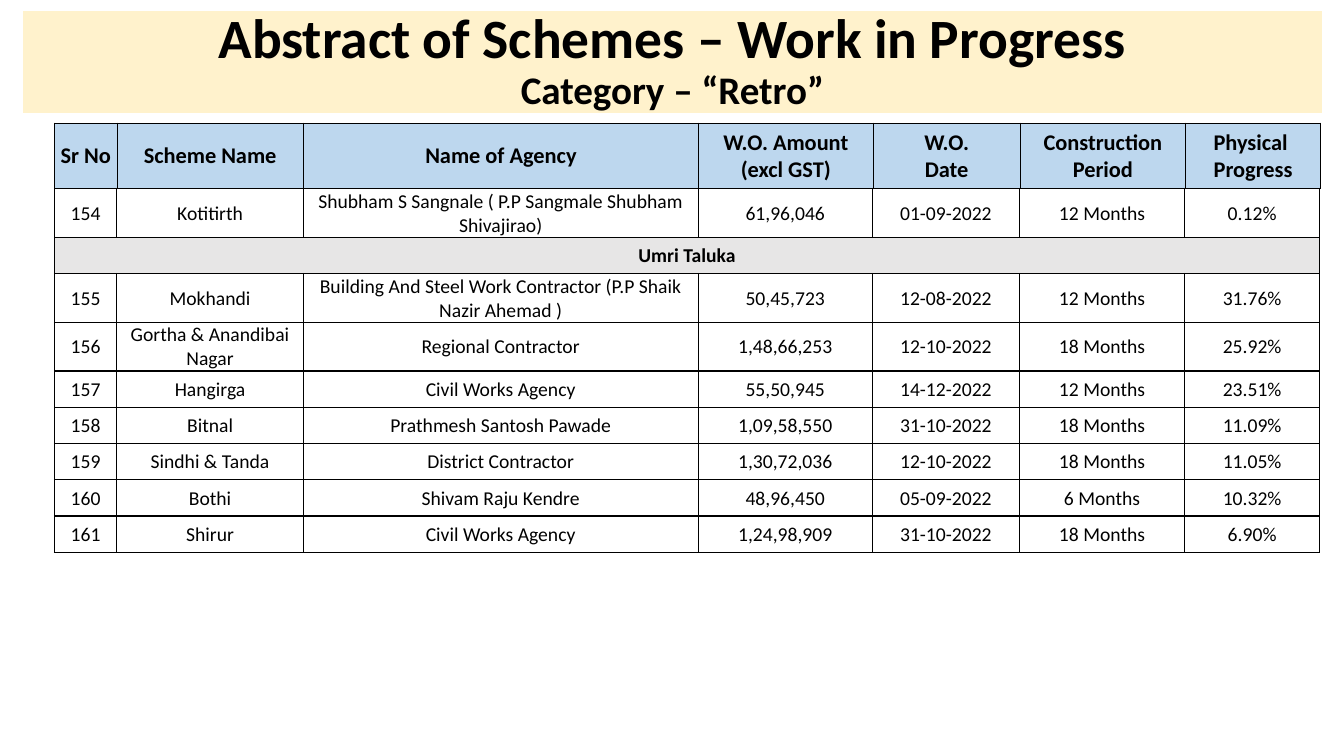
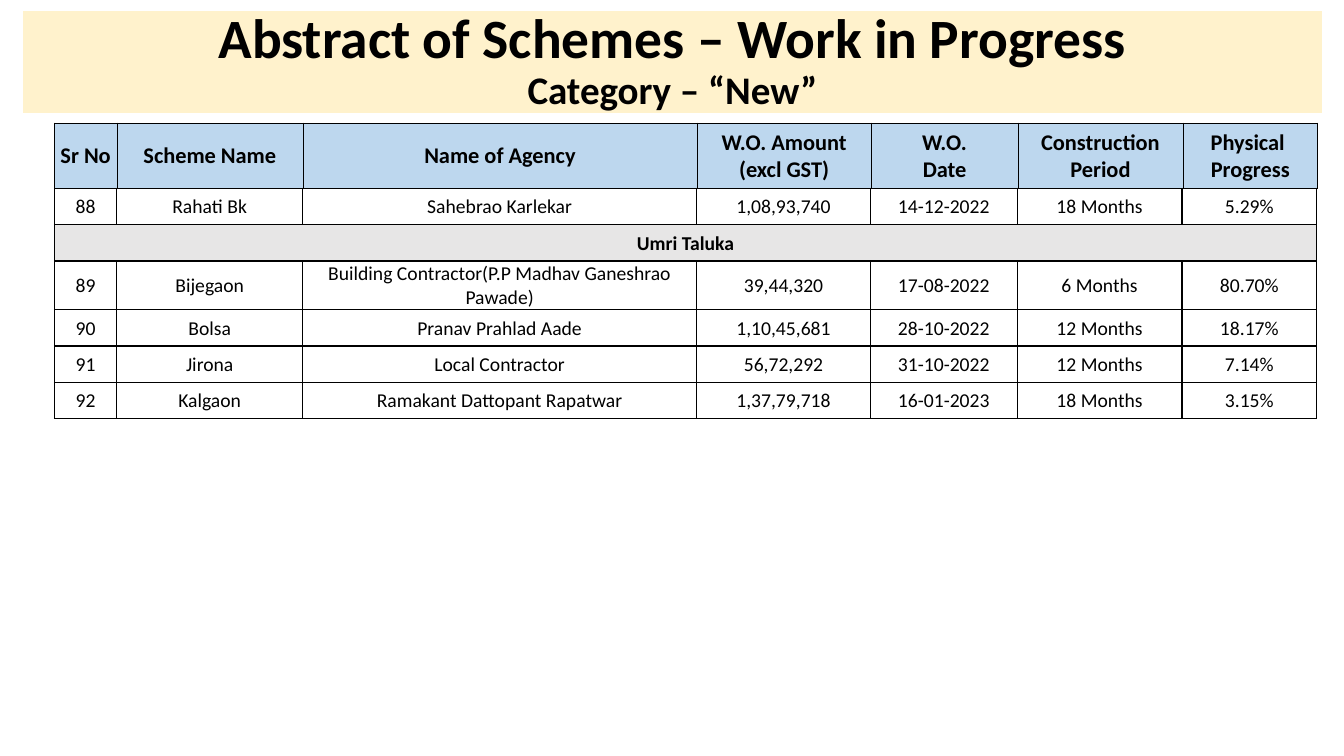
"""Build two slides listing water schemes in progress, by category."""
from lxml.etree import SubElement
from pptx import Presentation
from pptx.dml.color import RGBColor
from pptx.enum.shapes import MSO_SHAPE
from pptx.enum.text import MSO_ANCHOR, PP_ALIGN
from pptx.oxml.ns import qn
from pptx.util import Inches, Pt

BLACK = RGBColor(0x00, 0x00, 0x00)
CREAM = RGBColor(0xFF, 0xF2, 0xCC)
BLUE = RGBColor(0xBD, 0xD7, 0xEE)
GREY = RGBColor(0xE7, 0xE6, 0xE6)

FONT = "Calibri"
LEFT = 0.54
HEADER_TOP, HEADER_HEIGHT, ROW_HEIGHT = 1.22, 0.65, 0.36
COLUMNS = [0.62, 1.85, 3.92, 1.73, 1.46, 1.64, 1.34]
CELL_FORMAT = {
    "margin_left": Inches(0.01),
    "margin_right": Inches(0.01),
    "margin_top": Inches(0.01),
    "margin_bottom": 0,
    "vertical_anchor": MSO_ANCHOR.MIDDLE,
}
HEADINGS = ["Sr No", "Scheme Name", "Name of Agency", "W.O. Amount\v(excl GST)",
            "W.O.\vDate", "Construction\vPeriod", "Physical \nProgress"]

CATEGORIES = [
    ("Category – “Retro”", 12.56, 12.55, [
        ["154", "Kotitirth", "Shubham S Sangnale ( P.P Sangmale Shubham Shivajirao)",
         "61,96,046", "01-09-2022", "12 Months", "0.12%"],
        ["Umri Taluka"],
        ["155", "Mokhandi", "Building And Steel Work Contractor (P.P Shaik Nazir Ahemad )",
         "50,45,723", "12-08-2022", "12 Months", "31.76%"],
        ["156", "Gortha & Anandibai Nagar", "Regional Contractor",
         "1,48,66,253", "12-10-2022", "18 Months", "25.92%"],
        ["157", "Hangirga", "Civil Works Agency",
         "55,50,945", "14-12-2022", "12 Months", "23.51%"],
        ["158", "Bitnal", "Prathmesh Santosh Pawade",
         "1,09,58,550", "31-10-2022", "18 Months", "11.09%"],
        ["159", "Sindhi & Tanda", "District Contractor",
         "1,30,72,036", "12-10-2022", "18 Months", "11.05%"],
        ["160", "Bothi", "Shivam Raju Kendre",
         "48,96,450", "05-09-2022", "6 Months", "10.32%"],
        ["161", "Shirur", "Civil Works Agency",
         "1,24,98,909", "31-10-2022", "18 Months", "6.90%"],
    ]),
    ("Category – “New”", 12.53, 12.52, [
        ["88", "Rahati Bk", "Sahebrao Karlekar",
         "1,08,93,740", "14-12-2022", "18 Months", "5.29%"],
        ["Umri Taluka"],
        ["89", "Bijegaon", "Building Contractor(P.P Madhav Ganeshrao Pawade)",
         "39,44,320", "17-08-2022", "6 Months", "80.70%"],
        ["90", "Bolsa", "Pranav Prahlad Aade",
         "1,10,45,681", "28-10-2022", "12 Months", "18.17%"],
        ["91", "Jirona", "Local Contractor",
         "56,72,292", "31-10-2022", "12 Months", "7.14%"],
        ["92", "Kalgaon", "Ramakant Dattopant Rapatwar",
         "1,37,79,718", "16-01-2023", "18 Months", "3.15%"],
    ]),
]


def format_font(font, size, bold):
    for name, value in {"name": FONT, "size": Pt(size), "bold": bold}.items():
        setattr(font, name, value)
    font.color.rgb = BLACK


def add_grid(slide, top, width, row_height, rows, size, header):
    table = slide.shapes.add_table(
        len(rows), len(COLUMNS), Inches(LEFT), Inches(top),
        Inches(width), Inches(row_height * len(rows))).table
    table.first_row = table.horz_banding = False
    for column, share in zip(table.columns, COLUMNS):
        column.width = Inches(share * width / sum(COLUMNS))
    edges = {"lnL": 0.5, "lnR": 0.5, "lnT": 0.5, "lnB": 1} if header else dict.fromkeys(
        ["lnL", "lnR", "lnT", "lnB"], 1)
    for index, texts in enumerate(rows):
        table.rows[index].height = Inches(row_height)
        is_band = len(texts) == 1
        for cell in table.rows[index].cells:
            for name, value in CELL_FORMAT.items():
                setattr(cell, name, value)
            for edge, points in edges.items():
                line = SubElement(cell._tc.get_or_add_tcPr(), qn(f"a:{edge}"), w=str(Pt(points)))
                SubElement(SubElement(line, qn("a:solidFill")), qn("a:srgbClr"), val=str(BLACK))
            if header or is_band:
                cell.fill.solid()
                cell.fill.fore_color.rgb = BLUE if header else GREY
            else:
                cell.fill.background()
        if is_band:
            table.cell(index, 0).merge(table.cell(index, len(COLUMNS) - 1))
        for position, text in enumerate(texts):
            cell = table.cell(index, position)
            cell.text = text
            for paragraph in cell.text_frame.paragraphs:
                paragraph.alignment = PP_ALIGN.CENTER
                for run in paragraph.runs:
                    format_font(run.font, size, header or is_band)


deck = Presentation()
deck.slide_width, deck.slide_height = Inches(13.33), Inches(7.5)

for category, header_width, body_width, schemes in CATEGORIES:
    slide = deck.slides.add_slide(deck.slide_layouts[6])

    banner = slide.shapes.add_shape(
        MSO_SHAPE.RECTANGLE, Inches(0.23), Inches(0.11), Inches(12.88), Inches(1.01))
    banner.shadow.inherit = False
    banner.fill.solid()
    banner.fill.fore_color.rgb = CREAM
    banner.line.fill.background()
    banner.text_frame.word_wrap = True
    banner.text_frame.vertical_anchor = MSO_ANCHOR.MIDDLE
    title = banner.text_frame.paragraphs[0]
    title.alignment = PP_ALIGN.CENTER
    title.line_spacing = 0.9
    heading = title.add_run()
    heading.text = "Abstract of Schemes – Work in Progress"
    format_font(heading.font, 39.6, True)
    title.add_line_break()
    subheading = title.add_run()
    subheading.text = category
    format_font(subheading.font, 27.9, True)

    add_grid(slide, HEADER_TOP, header_width, HEADER_HEIGHT, [HEADINGS], 16, True)
    add_grid(slide, HEADER_TOP + HEADER_HEIGHT, body_width, ROW_HEIGHT, schemes, 14, False)

deck.save("out.pptx")
